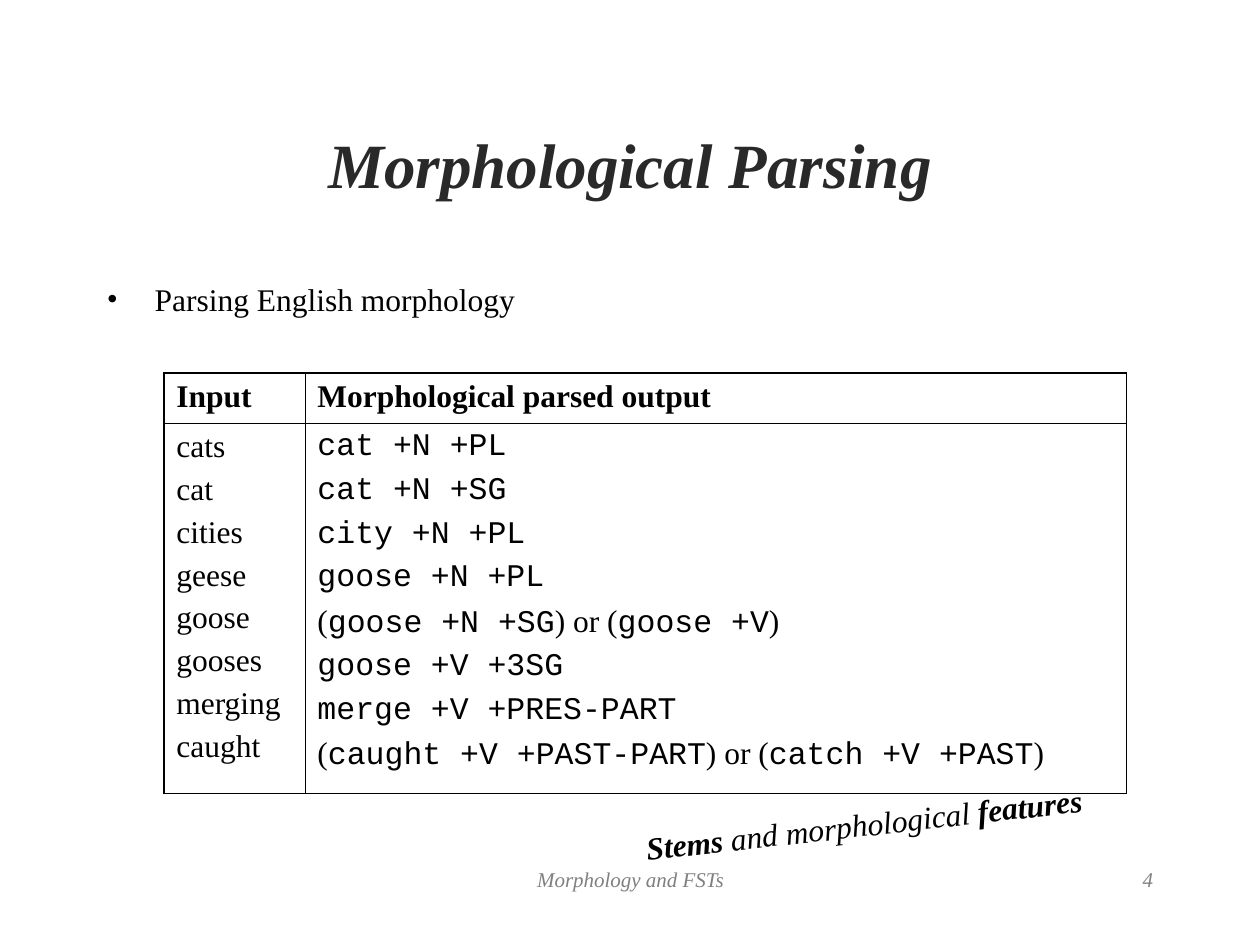
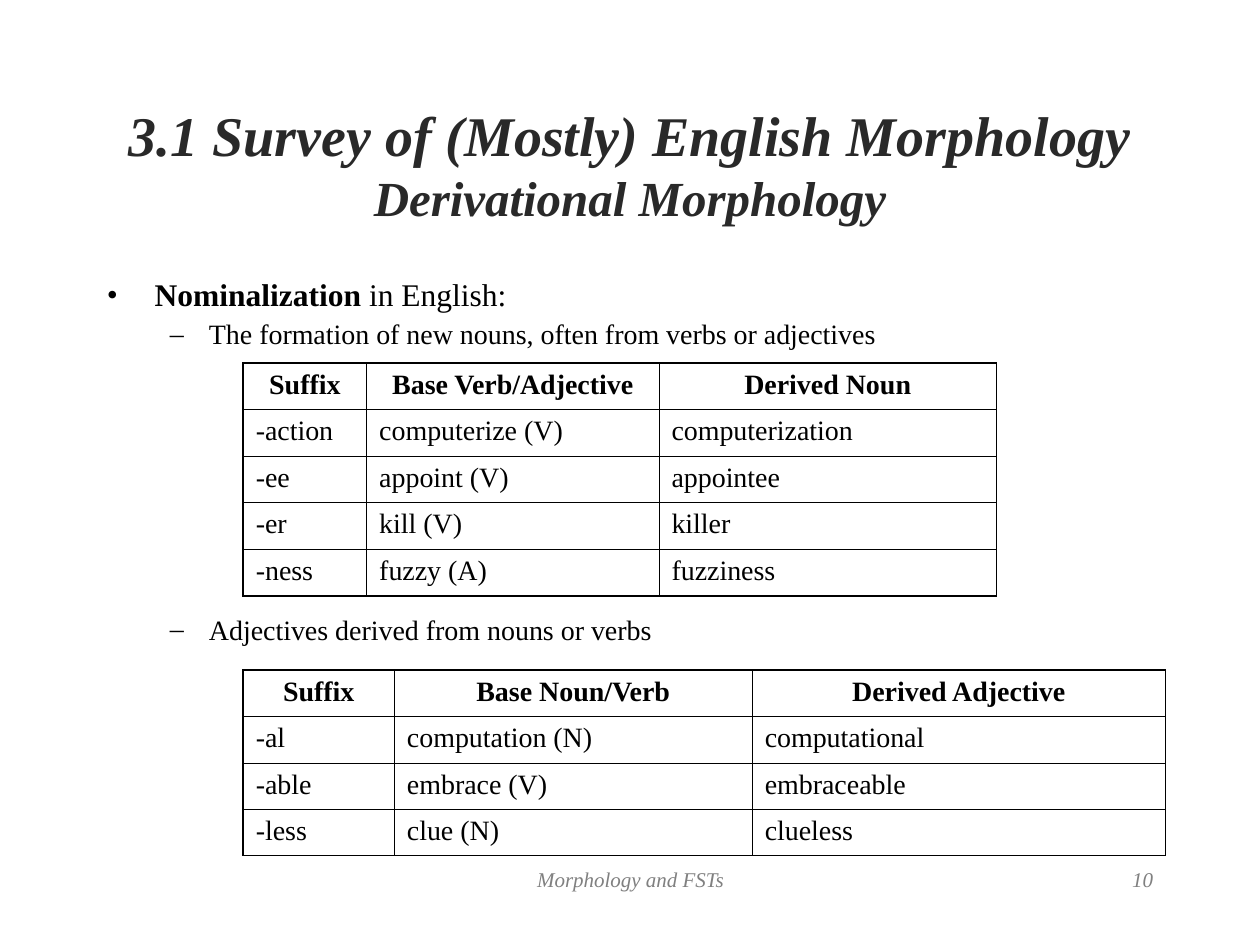
"""Build two slides on parsing and deriving English words."""
from dataclasses import dataclass
from typing import NamedTuple

from lxml.etree import SubElement
from pptx import Presentation
from pptx.dml.color import RGBColor
from pptx.enum.text import MSO_ANCHOR, MSO_AUTO_SIZE, PP_ALIGN
from pptx.oxml.ns import qn
from pptx.util import Inches, Pt

BLACK = RGBColor(0x00, 0x00, 0x00)
GREY = RGBColor(0x80, 0x80, 0x80)
DARK = RGBColor(0x29, 0x29, 0x29)
SERIF = "Times New Roman"
MONO = "Courier New"
THICK, THIN = Pt(1.08), Pt(0.45)


class Box(NamedTuple):
    left: float
    top: float
    width: float
    height: float

    def place(self):
        return [Inches(side) for side in self]


class Mark(NamedTuple):
    sign: str
    left: float
    hang: float
    level: int
    gap: float


@dataclass
class Grid:
    box: Box
    cols: list[float]
    cells: list[list[str]]
    size: int
    gap: float
    align: PP_ALIGN = PP_ALIGN.CENTER
    rows: tuple[float, ...] = ()


TITLE = Box(0.75, 0.67, 8.5, 1.25)
FOOT = Box(3.42, 6.83, 3.17, 0.5)
PAGE = Box(7.17, 6.83, 2.08, 0.5)
DOT = Mark("•", 0.38, -0.38, 0, 4.5)
DASH = Mark("–", 0.81, -0.31, 1, 4)

PARSED = Grid(
    Box(1.3, 2.96, 7.64, 3.32), [1.12, 6.52],
    [["Input", "Morphological parsed output"],
     ["cats\ncat\ncities\ngeese\ngoose\ngooses\nmerging\ncaught",
      "|cat +N +PL|\n|cat +N +SG|\n|city +N +PL|\n|goose +N +PL|\n"
      "(|goose +N +SG|) or (|goose +V|)\n|goose +V +3SG|\n"
      "|merge +V +PRES-PART|\n"
      "(|caught +V +PAST-PART|) or (|catch +V +PAST|)"]],
    18, 4.5, PP_ALIGN.LEFT, (0.4, 2.92))
NOUNS = Grid(
    Box(1.93, 2.88, 5.98, 1.85), [0.98, 2.32, 2.68],
    [["Suffix", "Base Verb/Adjective", "Derived Noun"],
     ["-action", "computerize (V)", "computerization"],
     ["-ee", "appoint (V)", "appointee"],
     ["-er", "kill (V)", "killer"],
     ["-ness", "fuzzy (A)", "fuzziness"]],
    16, 4)
ADJS = Grid(
    Box(1.93, 5.32, 7.32, 1.47), [1.2, 2.84, 3.28],
    [["Suffix", "Base Noun/Verb", "Derived Adjective"],
     ["-al", "computation (N)", "computational"],
     ["-able", "embrace (V)", "embraceable"],
     ["-less", "clue (N)", "clueless"]],
    16, 4)


def add_mark(para, mark: Mark) -> None:
    """Give a paragraph its bullet and indent."""
    para.level = mark.level
    props = para._p.get_or_add_pPr()
    props.set("marL", str(Inches(mark.left)))
    props.set("indent", str(Inches(mark.hang)))
    tint = SubElement(props, qn("a:buClr"))
    SubElement(tint, qn("a:srgbClr"), val=str(BLACK))
    SubElement(props, qn("a:buFont"), typeface=SERIF)
    SubElement(props, qn("a:buChar"), char=mark.sign)


def write(frame, text: str, *, size: float, color=BLACK, bold=False,
          italic=False, align=PP_ALIGN.LEFT, gap=0.0, pitch=None,
          mark: Mark | None = None, alt: dict | None = None) -> None:
    """Add lines of text; parts between bars take the alt font settings."""
    for line in text.split("\n"):
        first = not frame.text
        para = frame.paragraphs[0] if first else frame.add_paragraph()
        if mark:
            add_mark(para, mark)
        para.alignment = align
        para.line_spacing = pitch
        para.space_before = Pt(0 if first else gap)
        for spot, part in enumerate(line.split("|")):
            if not part:
                continue
            run = para.add_run()
            run.text = part
            look = dict(name=SERIF, size=Pt(size), bold=bold, italic=italic)
            if spot % 2:
                look |= alt or {}
            for key, value in look.items():
                setattr(run.font, key, value)
            run.font.color.rgb = color


def add_box(slide, box: Box, wrap: bool = True, turn: float = 0):
    """Add a text box and return its frame."""
    shape = slide.shapes.add_textbox(*box.place())
    shape.rotation = turn
    shape.text_frame.word_wrap = wrap
    return shape.text_frame


def add_item(frame, text: str, mark: Mark, size: float, pitch=None) -> None:
    """Add one bulleted line."""
    write(frame, text, size=size, mark=mark, gap=mark.gap, pitch=pitch,
          alt={"bold": True})


def add_edge(cell, side: str, width: int) -> None:
    """Draw one border of a cell."""
    props = cell._tc.get_or_add_tcPr()
    edge = SubElement(props, qn(f"a:ln{side}"), w=str(width))
    fill = SubElement(edge, qn("a:solidFill"))
    SubElement(fill, qn("a:srgbClr"), val=str(BLACK))


def add_grid(slide, grid: Grid) -> None:
    """Draw a table with thick outer and thin inner borders."""
    high, wide = len(grid.cells), len(grid.cols)
    table = slide.shapes.add_table(high, wide, *grid.box.place()).table
    table.first_row = table.horz_banding = False
    for col, width in zip(table.columns, grid.cols):
        col.width = Inches(width)
    for row, height in zip(table.rows, grid.rows):
        row.height = Inches(height)
    for y, texts in enumerate(grid.cells):
        for x, text in enumerate(texts):
            cell = table.cell(y, x)
            outer = {"L": x == 0, "R": x == wide - 1,
                     "T": y == 0, "B": y == high - 1}
            for side, edge in outer.items():
                add_edge(cell, side, THICK if edge else THIN)
            cell.fill.background()
            head = y == 0
            write(cell.text_frame, text, size=grid.size, bold=head,
                  align=grid.align if head else PP_ALIGN.LEFT,
                  gap=grid.gap, alt={"name": MONO})


def add_slide(deck, title: str, size: float, page: int):
    """Add a slide with its title, footer and page number."""
    slide = deck.slides.add_slide(deck.slide_layouts[5])
    shape = slide.shapes.title
    shape.left, shape.top, shape.width, shape.height = TITLE.place()
    frame = shape.text_frame
    frame.auto_size = MSO_AUTO_SIZE.NONE
    frame.vertical_anchor = MSO_ANCHOR.MIDDLE
    write(frame, title, size=size, color=DARK, bold=True, italic=True,
          align=PP_ALIGN.CENTER, alt={"size": Pt(28)})
    for box, text, align in ((FOOT, "Morphology and FSTs", PP_ALIGN.CENTER),
                             (PAGE, str(page), PP_ALIGN.RIGHT)):
        write(add_box(slide, box), text, size=12, color=GREY, italic=True,
              align=align)
    return slide


def add_parsing(deck) -> None:
    """Add the slide on parsing."""
    slide = add_slide(deck, "Morphological Parsing", 36, 4)
    body = add_box(slide, Box(0.75, 2.17, 4.17, 4.5))
    add_item(body, "Parsing English morphology", DOT, 18)
    add_grid(slide, PARSED)
    note = add_box(slide, Box(5.02, 6.34, 3.68, 0.4), wrap=False, turn=353.6)
    write(note, "|Stems| and morphological |features|", size=18, italic=True,
          alt={"bold": True})


def add_survey(deck) -> None:
    """Add the slide on derivation."""
    slide = add_slide(deck, "3.1 Survey of (Mostly) English Morphology\n"
                      "|Derivational Morphology|", 32, 10)
    body = add_box(slide, Box(0.75, 2.17, 8.03, 0.72))
    add_item(body, "|Nominalization| in English:", DOT, 18, 0.9)
    add_item(body, "The formation of new nouns, often from verbs or "
             "adjectives", DASH, 16, 0.9)
    add_grid(slide, NOUNS)
    more = add_box(slide, Box(0.75, 4.84, 8.19, 0.4))
    add_item(more, "Adjectives derived from nouns or verbs", DASH, 16, 0.9)
    add_grid(slide, ADJS)


def main() -> None:
    """Build and save the deck."""
    deck = Presentation()
    deck.slide_width, deck.slide_height = Inches(10), Inches(7.5)
    add_parsing(deck)
    add_survey(deck)
    deck.save("out.pptx")


if __name__ == "__main__":
    main()
